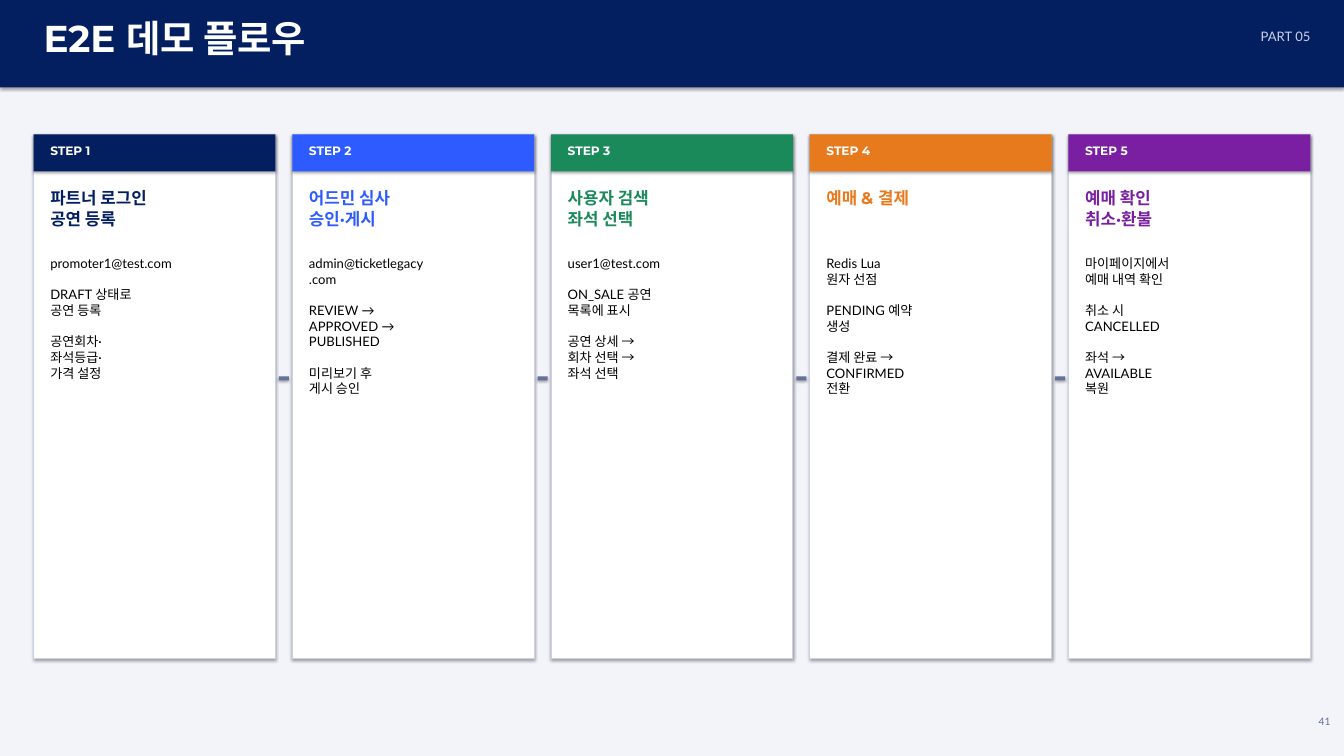
from pptx import Presentation
from pptx.dml.color import RGBColor
from pptx.enum.shapes import MSO_SHAPE as Shape
from pptx.enum.text import MSO_AUTO_SIZE as AutoSize, PP_ALIGN as Align
from pptx.util import Inches, Pt

NAVY, WHITE, BLACK = "041F60", "FFFFFF", "000000"
PALE, SLATE, BACKDROP = "CCD0E8", "667198", "F3F4FA"
HEADING, BODY = "Montserrat", "Lato"

# Colour, heading and groups of body lines for each step
STEPS = [
    (NAVY, "파트너 로그인\v공연 등록",
     ["promoter1@test.com", "DRAFT 상태로\v공연 등록",
      "공연회차·\v좌석등급·\v가격 설정"]),
    ("2E5BFF", "어드민 심사\v승인·게시",
     ["admin@ticketlegacy\v.com", "REVIEW →\vAPPROVED →\vPUBLISHED",
      "미리보기 후\v게시 승인"]),
    ("1B8A5A", "사용자 검색\v좌석 선택",
     ["user1@test.com", "ON_SALE 공연\v목록에 표시",
      "공연 상세 →\v회차 선택 →\v좌석 선택"]),
    ("E87A1E", "예매 & 결제",
     ["Redis Lua\v원자 선점", "PENDING 예약\v생성",
      "결제 완료 →\vCONFIRMED\v전환"]),
    ("7B1FA2", "예매 확인\v취소·환불",
     ["마이페이지에서\v예매 내역 확인", "취소 시\vCANCELLED",
      "좌석 →\vAVAILABLE\v복원"]),
]


def rgb(value):
    return RGBColor.from_string(value)


class FlowSlide:
    def __init__(self, deck):
        self.slide = deck.slides.add_slide(deck.slide_layouts[6])
        background = self.slide.background.fill
        background.solid()
        background.fore_color.rgb = rgb(BACKDROP)

    def block(self, left, top, width, height, fill, line=None):
        """Add a rectangle that keeps the soft shadow of the theme."""
        block = self.slide.shapes.add_shape(
            Shape.RECTANGLE, Inches(left), Inches(top), Inches(width), Inches(height))
        block.fill.solid()
        block.fill.fore_color.rgb = rgb(fill)
        if line:
            block.line.color.rgb = rgb(line)
            block.line.width = Pt(1)
        else:
            block.line.fill.background()

    def text(self, left, top, width, height, groups, size, color,
             font=BODY, bold=False, align=None):
        """Add one paragraph per group, a line's height apart."""
        box = self.slide.shapes.add_textbox(
            Inches(left), Inches(top), Inches(width), Inches(height))
        frame = box.text_frame
        frame.word_wrap = True
        frame.auto_size = AutoSize.SHAPE_TO_FIT_TEXT
        for index, group in enumerate(groups):
            paragraph = frame.add_paragraph() if index else frame.paragraphs[0]
            paragraph.text = group
            paragraph.alignment = align
            if index:
                paragraph.space_before = Pt(size * 1.2)
            paragraph.font.name = font
            paragraph.font.size = Pt(size)
            paragraph.font.bold = bold
            paragraph.font.color.rgb = rgb(color)

    def step(self, number, left, color, heading, groups):
        """Add a card with a coloured step label, heading and details."""
        inner = left + 0.15
        self.block(left, 2, 3.6, 7.8, WHITE, line=PALE)
        self.block(left, 2, 3.6, 0.55, color)
        self.text(inner, 2.08, 3.3, 0.4, [f"STEP {number}"], 13, WHITE, HEADING, True)
        self.text(inner, 2.75, 3.3, 0.9, [heading], 18, color, HEADING, True)
        self.text(inner, 3.75, 3.3, 5.6, groups, 14, BLACK)


def main():
    deck = Presentation()
    deck.slide_width, deck.slide_height = Inches(20), Inches(11.25)
    flow = FlowSlide(deck)

    # Header
    flow.block(0, 0, 20, 1.3, NAVY)
    flow.text(0.55, 0.18, 14, 0.95, ["E2E 데모 플로우"], 40, WHITE, HEADING, True)
    flow.text(15.8, 0.38, 3.8, 0.6, ["PART 05"], 14, PALE, align=Align.RIGHT)

    # Step cards joined by short dashes
    for index, (color, heading, groups) in enumerate(STEPS):
        left = 0.5 + index * 3.85
        flow.step(index + 1, left, color, heading, groups)
        if index < len(STEPS) - 1:
            flow.block(left + 3.65, 5.6, 0.15, 0.06, SLATE)

    # Page number
    flow.text(19.3, 10.6, 0.6, 0.4, ["41"], 11, SLATE, align=Align.RIGHT)

    deck.save("out.pptx")


if __name__ == "__main__":
    main()
